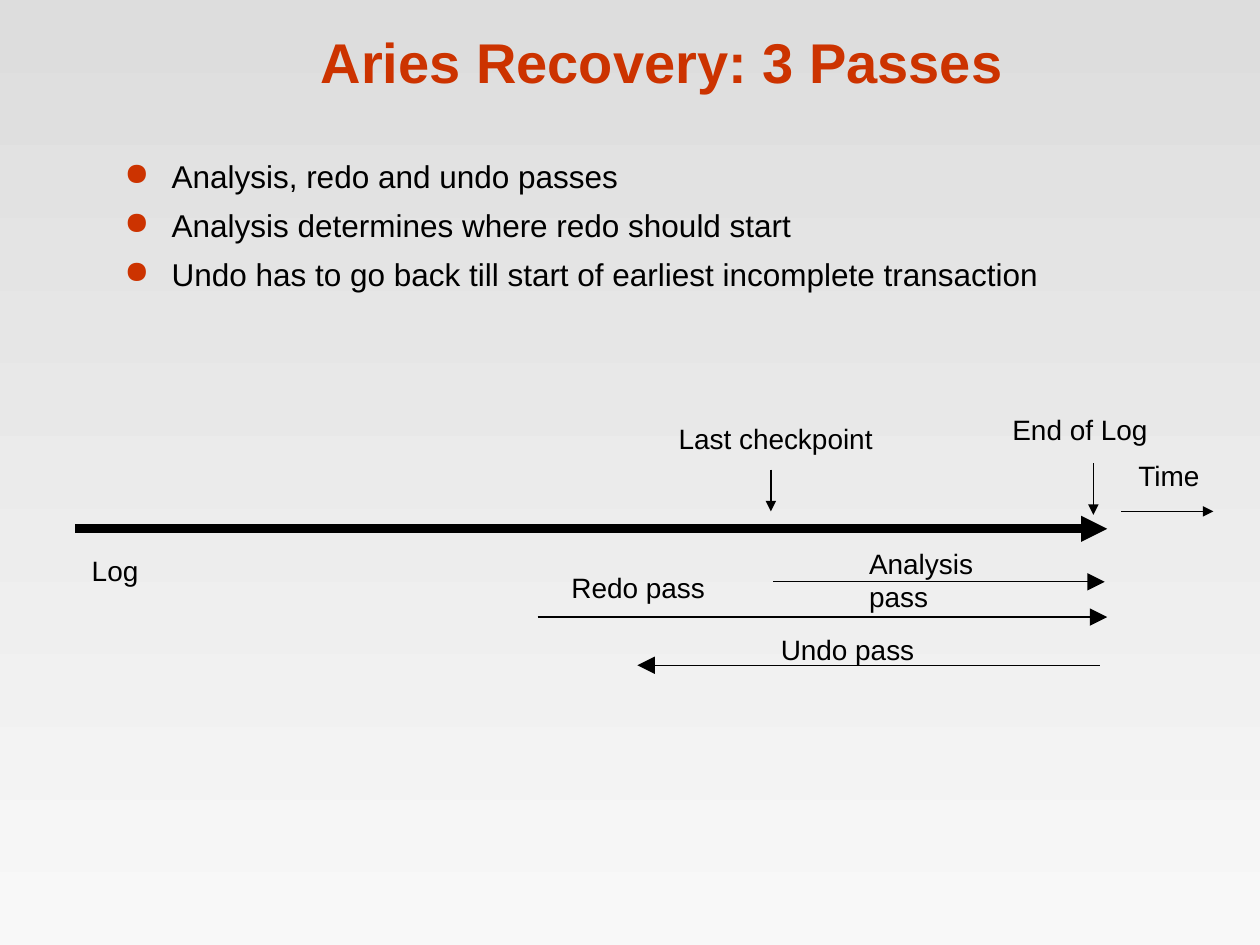
import pptx
import pptx.util
import pptx.dml.color
import pptx.enum.shapes
import pptx.enum.text
import pptx.oxml
import pptx.oxml.ns

Cm, Pt = pptx.util.Cm, pptx.util.Pt
INK = {"title": "CC3300", "text": "000000", "top": "DDDDDD", "base": "F8F8F8"}
FONT = "Arial"


def rgb(name):
    return pptx.dml.color.RGBColor.from_string(INK[name])


def sub(node, tag, **attrs):
    """Append an a: element with the given attributes."""
    child = node.makeelement(pptx.oxml.ns.qn(tag), attrs)
    node.append(child)
    return child


def put(par, text, size, ink="text", bold=False):
    run = par.add_run()
    run.text = text
    font = run.font
    font.name, font.size, font.bold = FONT, Pt(size), bold
    font.color.rgb = rgb(ink)


def paint(slide):
    """Fill the background with a top-to-bottom gradient."""
    fill = slide.background.fill
    fill.gradient()
    fill.gradient_angle = 270
    for stop, ink in zip(fill.gradient_stops, ("top", "base")):
        stop.color.rgb = rgb(ink)


def head(slide, text, x, y, w, h):
    title = slide.shapes.title
    title.left, title.top, title.width, title.height = Cm(x), Cm(y), Cm(w), Cm(h)
    frame = title.text_frame
    frame.word_wrap = True
    frame.auto_size = pptx.enum.text.MSO_AUTO_SIZE.NONE
    frame.vertical_anchor = pptx.enum.text.MSO_ANCHOR.BOTTOM
    par = frame.paragraphs[0]
    par.alignment = pptx.enum.text.PP_ALIGN.CENTER
    put(par, text, 32, "title", True)


def points(slide, items, x, y, w, h):
    frame = slide.shapes.add_textbox(Cm(x), Cm(y), Cm(w), Cm(h)).text_frame
    frame.word_wrap = True
    for i, item in enumerate(items):
        par = frame.add_paragraph() if i else frame.paragraphs[0]
        props = par._p.get_or_add_pPr()
        props.set("marL", str(Cm(0.95)))
        props.set("indent", str(-Cm(0.95)))
        sub(sub(props, "a:buClr"), "a:srgbClr", val=INK["title"])
        sub(props, "a:buChar", char="●")
        if i:
            par.space_before = Pt(6.3)
        put(par, item, 18)


def label(group, text, x, y, w, wrap=False):
    frame = group.shapes.add_textbox(Cm(x), Cm(y), Cm(w), Cm(0.94)).text_frame
    frame.word_wrap = wrap
    put(frame.paragraphs[0], text, 16)


def arrow(group, x1, y1, x2, y2, width=0.75, tip="med"):
    kind = pptx.enum.shapes.MSO_CONNECTOR.STRAIGHT
    line = group.shapes.add_connector(kind, Cm(x1), Cm(y1), Cm(x2), Cm(y2))
    line.line.color.rgb = rgb("text")
    line.line.width = Pt(width)
    sub(line.line._get_or_add_ln(), "a:tailEnd", type="triangle", w=tip, len=tip)
    sub(line._element.spPr, "a:effectLst")


def log(slide, x, y):
    """Draw the log axis, its marks and the three passes from a corner."""
    group = slide.shapes.add_group_shape()
    arrow(group, x, y + 2.46, x + 20.8, y + 2.46, 5)

    marks = [(14.02, 1.27, 14.02, 2.11), (20.52, 1.14, 20.52, 2.18),
             (21.08, 2.11, 22.94, 2.11)]
    for x1, y1, x2, y2 in marks:
        arrow(group, x + x1, y + y1, x + x2, y + y2)

    passes = [(14.07, 20.75, 3.53), (9.32, 20.8, 4.24), (20.65, 11.33, 5.21)]
    for start, end, row in passes:
        arrow(group, x + start, y + row, x + end, y + row, tip="lg")

    names = [("Last checkpoint", 11.91, 0.18, 4.42), ("End of Log", 18.64, 0, 3.25),
             ("Time", 21.18, 0.91, 1.75), ("Log", 0.08, 2.84, 1.45),
             ("Redo pass", 9.75, 3.18, 3.2), ("Undo pass", 13.97, 4.42, 3.2)]
    for text, dx, dy, w in names:
        label(group, text, x + dx, y + dy, w)
    label(group, "Analysis pass", x + 15.75, y + 2.69, 3.7, wrap=True)


def main():
    deck = pptx.Presentation()
    deck.slide_width, deck.slide_height = Cm(25.4), Cm(19.05)
    slide = deck.slides.add_slide(deck.slide_layouts[5])
    paint(slide)
    head(slide, "Aries Recovery: 3 Passes", 2.13, 0.33, 22.43, 1.7)
    points(slide, ["Analysis, redo and undo passes",
                   "Analysis determines where redo should start",
                   "Undo has to go back till start of earliest incomplete transaction"],
           2.26, 3.05, 21.29, 4.9)
    log(slide, 1.52, 8.2)
    deck.save("out.pptx")


if __name__ == "__main__":
    main()
